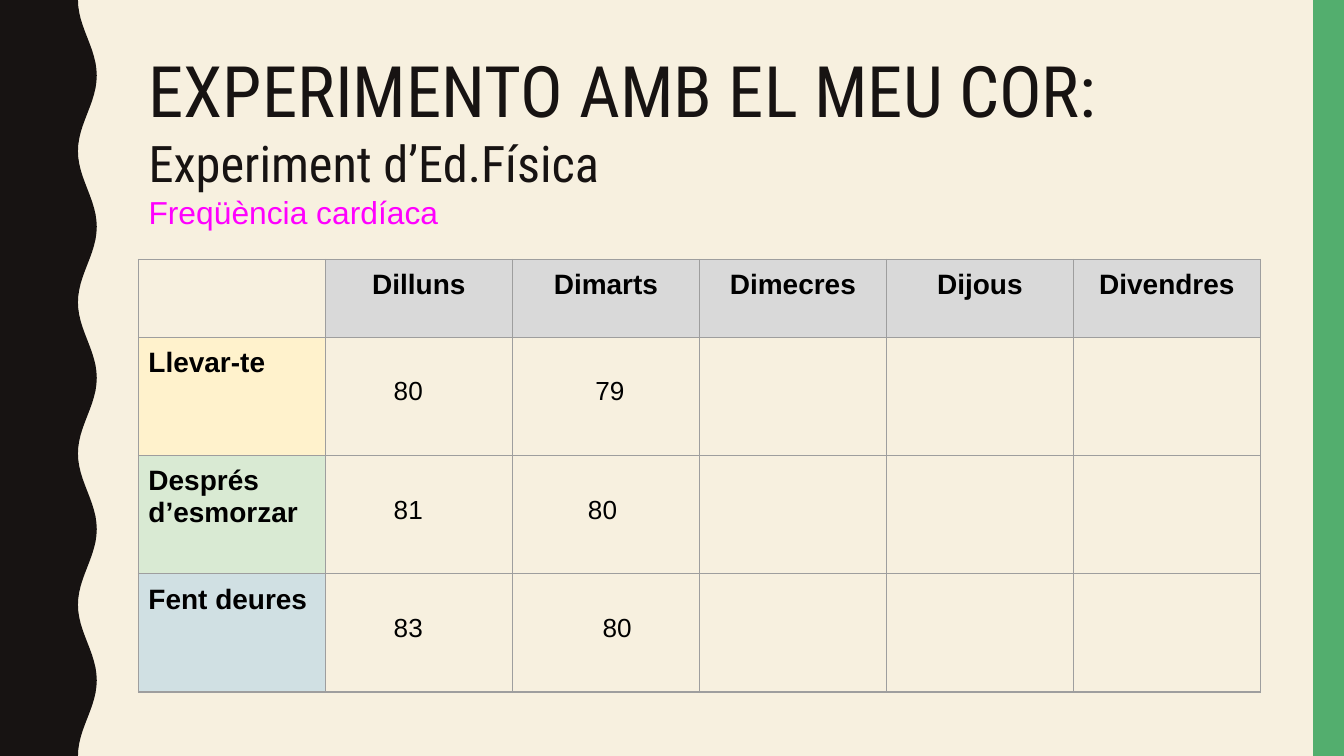
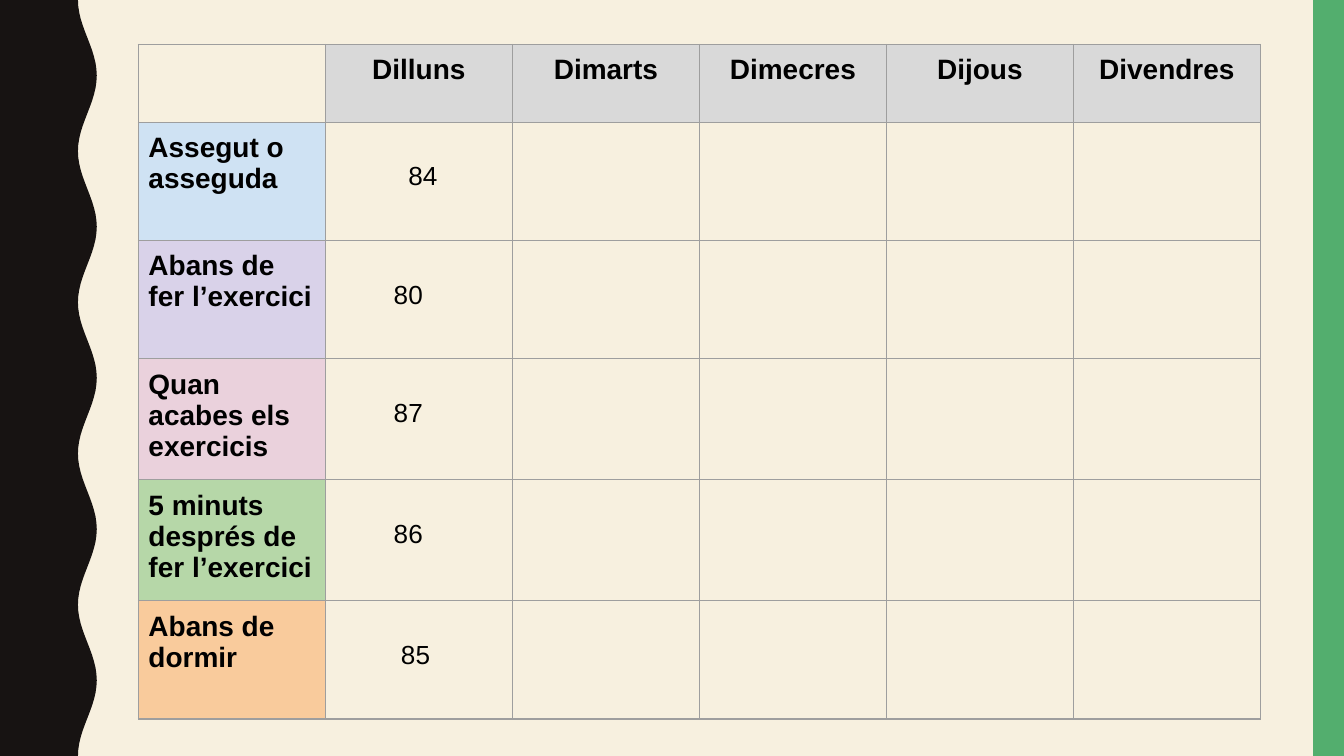
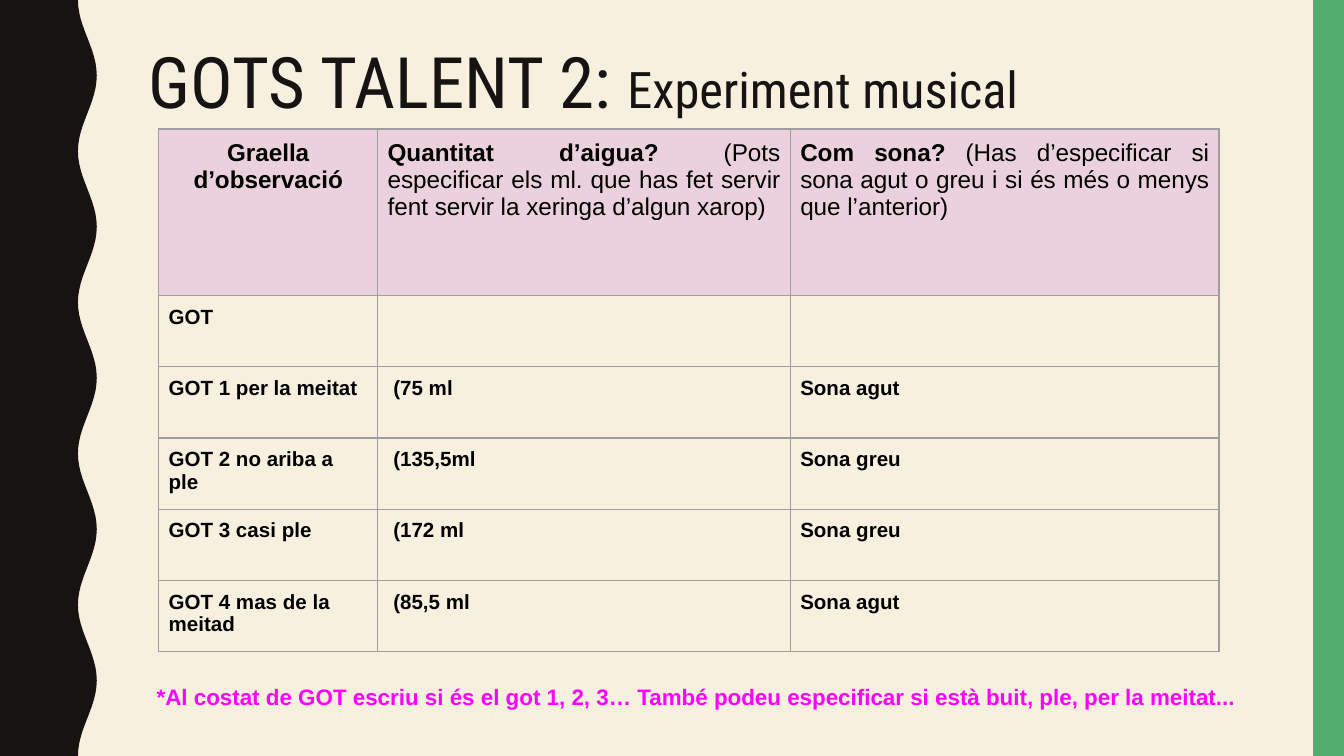
from math import cos, pi
from lxml import etree
from pptx import Presentation
from pptx.dml.color import RGBColor
from pptx.enum.shapes import MSO_SHAPE
from pptx.enum.text import PP_ALIGN
from pptx.oxml.ns import qn
from pptx.util import Inches, Pt

RECT = MSO_SHAPE.RECTANGLE
LEFT, MID, JUST = PP_ALIGN.LEFT, PP_ALIGN.CENTER, PP_ALIGN.JUSTIFY
CREAM = RGBColor(0xF7, 0xF0, 0xDF)
INK = RGBColor(0x17, 0x13, 0x12)
GREEN = RGBColor(0x53, 0xAE, 0x6E)
PINK = RGBColor(0xFF, 0x00, 0xFF)
BLACK = RGBColor(0x00, 0x00, 0x00)
GREY = RGBColor(0xD9, 0xD9, 0xD9)
RULE = RGBColor(0x9E, 0x9E, 0x9E)
YELLOW = RGBColor(0xFF, 0xF2, 0xCC)
MINT = RGBColor(0xD9, 0xEA, 0xD3)
TEAL = RGBColor(0xD0, 0xE0, 0xE3)
SKY = RGBColor(0xCF, 0xE2, 0xF3)
LILAC = RGBColor(0xD9, 0xD2, 0xE9)
ROSE = RGBColor(0xEA, 0xD1, 0xDC)
LEAF = RGBColor(0xB6, 0xD7, 0xA8)
PEACH = RGBColor(0xF9, 0xCB, 0x9C)
HEAD, BODY = "Roboto Condensed", "Arial"

DAYS = ["Dilluns", "Dimarts", "Dimecres", "Dijous", "Divendres"]
# Each reading: value and its indent in steps.
HOME = [
    ("Llevar-te", YELLOW, [("80", 8), ("79", 10)]),
    ("Després d’esmorzar", MINT, [("81", 8), ("80", 9)]),
    ("Fent deures", TEAL, [("83", 8), ("80", 11)]),
]
SPORT = [
    ("Assegut o asseguda", SKY, [("84", 10)]),
    ("Abans de fer l’exercici", LILAC, [("80", 8)]),
    ("Quan acabes els exercicis", ROSE, [("87", 8)]),
    ("5 minuts després de fer l’exercici", LEAF, [("86", 8)]),
    ("Abans de dormir", PEACH, [("85", 9)]),
]
ASKS = [
    ("Graella d’observació", "", MID),
    ("Quantitat d’aigua? ", "(Pots especificar els ml. que has fet servir "
     "fent servir la xeringa d’algun xarop)", JUST),
    ("Com sona? ", "(Has d’especificar si sona agut o greu i si és més o "
     "menys que l’anterior)", JUST),
]
CUPS = [
    ("GOT", "", ""),
    ("GOT 1 per la meitat", "(75 ml", "Sona agut"),
    ("GOT 2 no ariba a ple", "(135,5ml", "Sona greu"),
    ("GOT 3 casi ple", "(172 ml", "Sona greu"),
    ("GOT 4 mas de la meitad", "(85,5 ml", "Sona agut"),
]
PULSE = [
    [("EXPERIMENTO AMB EL MEU COR: ", 38, HEAD, INK, False),
     ("Experiment d’Ed.Física", 27, HEAD, INK, False)],
    [("Freqüència cardíaca", 17, BODY, PINK, False)],
]
MUSIC = [[("GOTS TALENT 2: ", 38, HEAD, INK, False),
          ("Experiment musical", 27, HEAD, INK, False)]]
NOTE = [[("*Al costat de GOT escriu si és el got 1, 2, 3… També podeu "
          "especificar si està buit, ple, per la meitat...",
          12, BODY, PINK, True)]]

WIDE = Inches(10)
HIGH = WIDE * 9 // 16
EDGE, SPAN = Inches(1.03), Inches(8.35)
PAD, STEP, DROP = Pt(5.4), Pt(3.9), Pt(16)
WAVES, DOTS = 5, 24

deck = Presentation()
deck.slide_width, deck.slide_height = WIDE, HIGH
back = deck.slide_master.background.fill
back.solid()
back.fore_color.rgb = CREAM


def paint(shape, color):
    shape.shadow.inherit = False
    shape.fill.solid()
    shape.fill.fore_color.rgb = color
    shape.line.fill.background()


def new_slide():
    slide = deck.slides.add_slide(deck.slide_layouts[6])
    count = WAVES * DOTS
    crest = [(Inches(0.65 - 0.07 * cos(2 * pi * i / DOTS)), HIGH * i // count)
             for i in range(count + 1)]
    pen = slide.shapes.build_freeform(0, 0)
    pen.add_line_segments(crest + [(0, HIGH)], close=True)
    paint(pen.convert_to_shape(), INK)
    band = Inches(0.23)
    paint(slide.shapes.add_shape(RECT, WIDE - band, 0, band, HIGH), GREEN)
    return slide


def write(para, runs):
    for text, size, face, color, bold in runs:
        run = para.add_run()
        run.text = text
        font = run.font
        font.size, font.name, font.bold = Pt(size), face, bold
        font.color.rgb = color


def add_text(slide, left, top, high, lines, pad, lead=1.0):
    box = slide.shapes.add_textbox(left, Inches(top), SPAN, Inches(high))
    frame = box.text_frame
    frame.word_wrap = True
    frame.margin_left = frame.margin_right = PAD
    frame.margin_top = frame.margin_bottom = pad
    for i, runs in enumerate(lines):
        para = frame.add_paragraph() if i else frame.paragraphs[0]
        para.line_spacing = lead
        write(para, runs)


def add_grid(slide, left, top, cols, rows):
    frame = slide.shapes.add_table(len(rows), len(cols), left, Inches(top),
                                   sum(cols), sum(rows))
    grid = frame.table
    grid.first_row = grid.horz_banding = False
    for col, size in zip(grid.columns, cols):
        col.width = size
    for row, size in zip(grid.rows, rows):
        row.height = size
    for cell in grid.iter_cells():
        cell.margin_left = cell.margin_right = PAD
        cell.margin_top = cell.margin_bottom = PAD
        prop = cell._tc.get_or_add_tcPr()
        for side in ("a:lnL", "a:lnR", "a:lnT", "a:lnB"):
            line = etree.SubElement(prop, qn(side), w=str(Pt(0.75)))
            fill = etree.SubElement(line, qn("a:solidFill"))
            etree.SubElement(fill, qn("a:srgbClr"), val=str(RULE))
        cell.fill.background()
    return grid


def fill_cell(cell, text, size, bold=True, color=None, align=LEFT, more=""):
    para = cell.text_frame.paragraphs[0]
    para.alignment = align
    parts = [(text, bold), (more, False)]
    write(para, [(t, size, BODY, BLACK, b) for t, b in parts if t])
    if color is not None:
        cell.fill.solid()
        cell.fill.fore_color.rgb = color


def add_week(slide, top, data):
    cols = [SPAN // 6] * 6
    rows = [Inches(0.58)] + [Inches(0.88)] * len(data)
    grid = add_grid(slide, EDGE, top, cols, rows)
    for c, day in enumerate(DAYS, 1):
        fill_cell(grid.cell(0, c), day, 15, color=GREY, align=MID)
    for r, (name, color, beats) in enumerate(data, 1):
        fill_cell(grid.cell(r, 0), name, 15, color=color)
        for c, (beat, steps) in enumerate(beats, 1):
            cell = grid.cell(r, c)
            cell.margin_left = PAD + steps * STEP
            cell.margin_top = PAD + DROP
            fill_cell(cell, beat, 14, bold=False)


def add_cups(slide):
    cols = [Inches(w) for w in (1.63, 3.07, 3.19)]
    rows = [Inches(1.24)] + [Inches(0.53)] * len(CUPS)
    grid = add_grid(slide, Inches(1.18), 0.96, cols, rows)
    for c, (ask, hint, align) in enumerate(ASKS):
        fill_cell(grid.cell(0, c), ask, 13, color=ROSE, align=align, more=hint)
    for r, cup in enumerate(CUPS, 1):
        grid.cell(r, 0).margin_right = Inches(0.12)
        grid.cell(r, 1).margin_left = PAD + Pt(3)
        for c, text in enumerate(cup):
            fill_cell(grid.cell(r, c), text, 11)


def main():
    slide = new_slide()
    add_text(slide, EDGE, 0.31, 1.22, PULSE, Inches(0.04))
    add_week(slide, 1.93, HOME)

    add_week(new_slide(), 0.33, SPORT)

    slide = new_slide()
    add_text(slide, EDGE, 0.31, 0.89, MUSIC, Inches(0.04), 0.9)
    add_cups(slide)
    add_text(slide, Inches(1.09), 5.01, 0.26, NOTE, PAD)
    deck.save("out.pptx")


if __name__ == "__main__":
    main()
